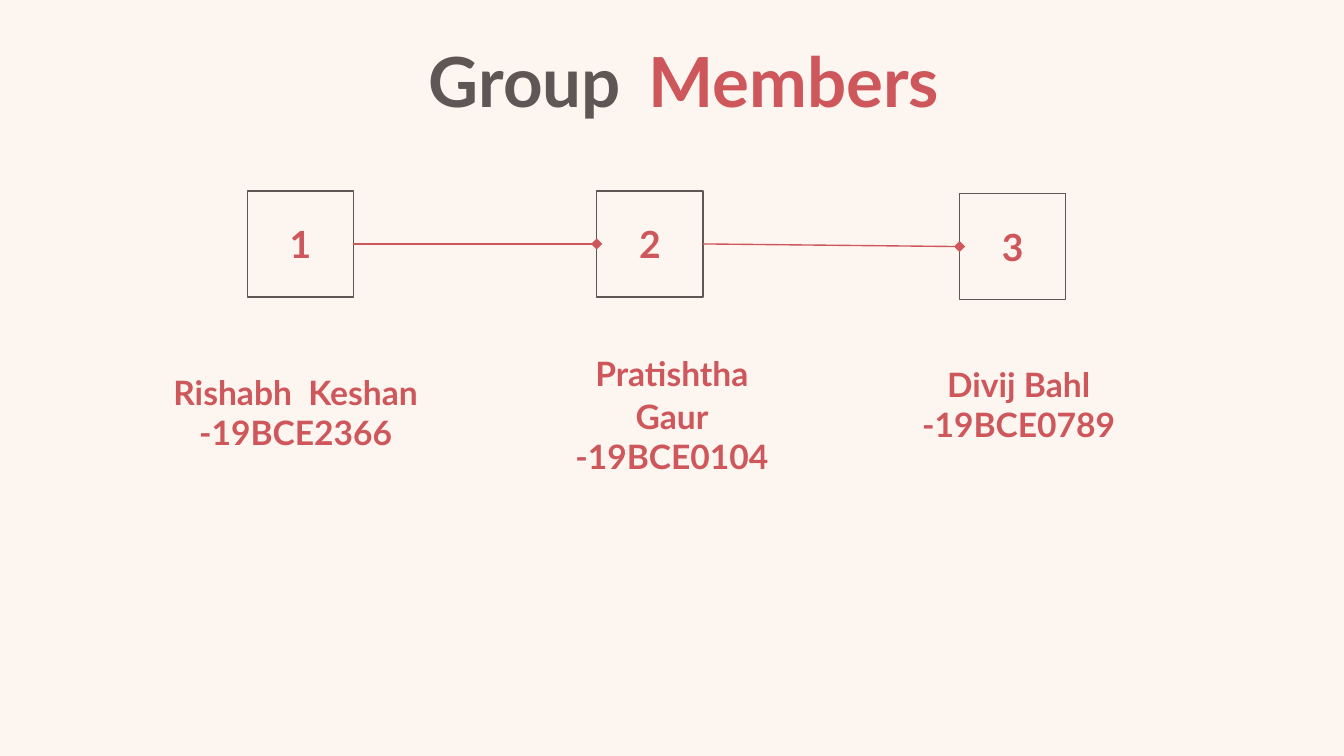
from dataclasses import dataclass

import pptx
import pptx.dml.color
import pptx.enum.shapes
import pptx.enum.text
import pptx.oxml
import pptx.oxml.ns
import pptx.util

Inches = pptx.util.Inches
ANCHOR = pptx.enum.text.MSO_ANCHOR


@dataclass(frozen=True)
class Theme:
    background: str = "FDF6F0"
    dark: str = "615656"
    accent: str = "CE575C"
    ink: str = "1A1A1A"
    font: str = "Lato"
    gap_font: str = "Manrope"
    title: int = 37
    title_gap: int = 61
    number: int = 20
    name: int = 18
    name_gap: int = 25
    line: float = 0.75


THEME = Theme()


@dataclass(frozen=True)
class Span:
    text: str
    size: int = THEME.name
    color: str = THEME.accent
    font: str = THEME.font
    bold: bool = True


@dataclass(frozen=True)
class Box:
    left: float
    top: float
    width: float
    height: float


@dataclass(frozen=True)
class Member:
    number: str
    name: list[Span]
    code: str
    square: Box
    label: Box


SIDE = 0.79
MEMBERS = [
    Member("1", [Span("Rishabh  Keshan")], "-19BCE2366",
           Box(1.84, 1.42, SIDE, SIDE), Box(0.97, 2.42, 2.46, 1.29)),
    Member("2", [Span("Pratishtha"),
                 Span(" ", THEME.name_gap, THEME.ink, THEME.gap_font, False),
                 Span("Gaur")], "-19BCE0104",
           Box(4.44, 1.42, SIDE, SIDE), Box(4.12, 2.64, 1.76, SIDE)),
    Member("3", [Span("Divij Bahl")], "-19BCE0789",
           Box(7.14, 1.44, SIDE, SIDE), Box(6.55, 2.61, 2.06, SIDE)),
]


def rgb(color: str) -> pptx.dml.color.RGBColor:
    return pptx.dml.color.RGBColor.from_string(color)


def lengths(box: Box) -> list[int]:
    return [Inches(v) for v in (box.left, box.top, box.width, box.height)]


def write(sp, lines: list[list[Span]], anchor=ANCHOR.MIDDLE) -> None:
    tf = sp.text_frame
    tf.word_wrap = True
    tf.vertical_anchor = anchor
    tf.margin_left = tf.margin_right = Inches(0.1)
    tf.margin_top = tf.margin_bottom = Inches(0.1)
    for i, spans in enumerate(lines):
        p = tf.add_paragraph() if i else tf.paragraphs[0]
        p.alignment = pptx.enum.text.PP_ALIGN.CENTER
        for span in spans:
            r = p.add_run()
            r.text = span.text
            r.font.name = span.font
            r.font.size = pptx.util.Pt(span.size)
            r.font.bold = span.bold
            r.font.color.rgb = rgb(span.color)


def add_text(s, box: Box, lines: list[list[Span]], anchor=ANCHOR.MIDDLE) -> None:
    write(s.shapes.add_textbox(*lengths(box)), lines, anchor)


def add_square(s, member: Member):
    sp = s.shapes.add_shape(pptx.enum.shapes.MSO_SHAPE.RECTANGLE,
                            *lengths(member.square))
    sp.shadow.inherit = False
    sp.fill.background()
    sp.line.color.rgb = rgb(THEME.dark)
    sp.line.width = pptx.util.Pt(THEME.line)
    write(sp, [[Span(member.number, THEME.number)]])
    return sp


def add_link(s, start, end) -> None:
    """Join the left side of start to the right side of end."""
    line = s.shapes.add_connector(
        pptx.enum.shapes.MSO_CONNECTOR.STRAIGHT, 0, 0, 0, 0)
    line.begin_connect(start, 1)
    line.end_connect(end, 3)
    line.line.color.rgb = rgb(THEME.accent)
    line.line.width = pptx.util.Pt(THEME.line)
    props = line._element.spPr
    ns = pptx.oxml.ns.nsdecls("a")
    props.find(pptx.oxml.ns.qn("a:ln")).append(
        pptx.oxml.parse_xml(f'<a:headEnd {ns} type="diamond"/>'))
    props.append(pptx.oxml.parse_xml(f"<a:effectLst {ns}/>"))


def main() -> None:
    # A 16:9 slide
    prs = pptx.Presentation()
    prs.slide_width = Inches(10)
    prs.slide_height = Inches(10 * 9 / 16)
    s = prs.slides.add_slide(prs.slide_layouts[6])
    s.background.fill.solid()
    s.background.fill.fore_color.rgb = rgb(THEME.background)

    # Title
    add_text(s, Box(0.43, 0.37, 9.32, 0.7),
             [[Span("Group", THEME.title, THEME.dark),
               Span(" ", THEME.title_gap),
               Span("Members", THEME.title)]], ANCHOR.BOTTOM)

    # Members: name, code and numbered square
    squares = []
    for member in MEMBERS:
        add_text(s, member.label, [member.name, [Span(member.code)]])
        squares.append(add_square(s, member))

    # Links between neighbouring squares
    for previous, current in zip(squares, squares[1:]):
        add_link(s, current, previous)

    prs.save("out.pptx")


if __name__ == "__main__":
    main()
